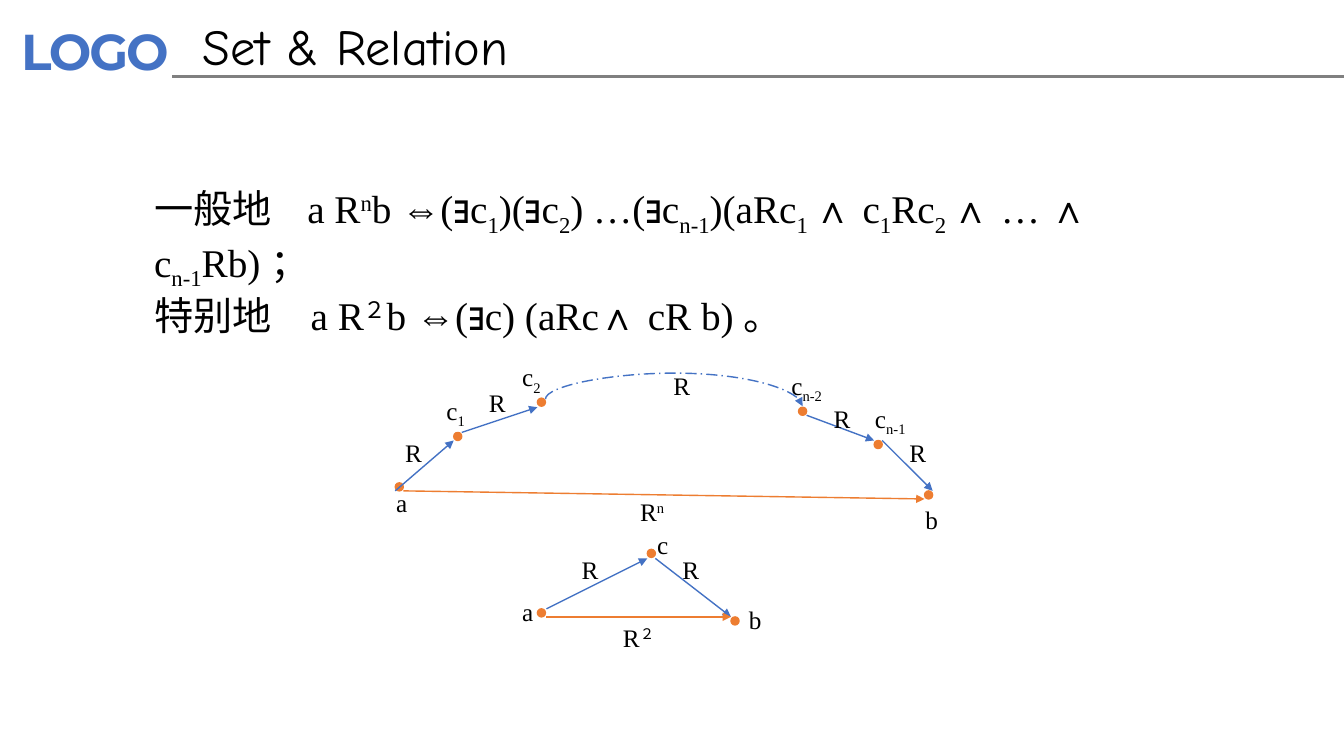
"""Build the Set & Relation slide on powers of a relation."""
import lxml.etree
import pptx
import pptx.dml.color
import pptx.enum.dml
import pptx.enum.shapes
import pptx.enum.text
import pptx.oxml.ns
import pptx.util

Inches, Pt = pptx.util.Inches, pptx.util.Pt
COLORS = {"blue": "4472C4", "orange": "ED7D31", "gray": "808080", "black": "000000"}
BASELINES = {"_": "-25000", "^": "30000"}
SERIF = "Times New Roman"
DOT = 0.08
LABEL_HEIGHT = 0.4

TITLE = "Set & Relation"
FORMULAS = [
    "一般地\ta R|^n|b ⇔(∃c|_1|)(∃c|_2|) …(∃c|_n-1|)(aRc|_1 |∧ c|_1|Rc|_2 |∧ … ∧ c|_n-1|Rb) ；",
    "特别地　a R|^２|b ⇔(∃c) (aRc∧ cR b) 。",
]
CHAIN = {
    "dots": [(3.92, 4.79), (4.5, 4.29), (5.33, 3.95), (7.92, 4.04), (8.67, 4.37), (9.17, 4.87)],
    "arrows": [
        ((4, 4.87), (9.17, 4.95), "orange"),
        ((3.92, 4.87), (4.5, 4.37), "blue"),
        ((4.58, 4.29), (5.33, 4.04), "blue"),
        ((8, 4.12), (8.67, 4.37), "blue"),
        ((8.75, 4.37), (9.25, 4.87), "blue"),
    ],
    "labels": [
        ("a", 3.83, 4.79, 0.42), ("c|_1", 4.33, 3.87, 0.42), ("c|_2", 5.08, 3.54, 0.5),
        ("b", 9.08, 4.95, 0.42), ("c|_n-1", 8.58, 3.95, 0.67), ("c|_n-2", 7.75, 3.62, 0.75),
        ("R|^n", 6.25, 4.87, 0.67), ("R", 3.92, 4.29, 0.42), ("R", 4.75, 3.79, 0.37),
        ("R", 8.17, 3.95, 0.37), ("R", 8.92, 4.29, 0.37), ("R", 6.58, 3.62, 0.37),
    ],
}
TRIANGLE = {
    "dots": [(5.33, 6.04), (6.42, 5.45), (7.25, 6.12)],
    "arrows": [
        ((5.42, 6.04), (6.42, 5.54), "blue"),
        ((6.5, 5.54), (7.25, 6.12), "blue"),
        ((5.42, 6.12), (7.25, 6.12), "orange"),
    ],
    "labels": [
        ("a", 5.08, 5.87, 0.33), ("b", 7.33, 5.95, 0.25), ("c", 6.42, 5.2, 0.33),
        ("R|^２", 6.08, 6.12, 0.75), ("R", 5.67, 5.45, 0.42), ("R", 6.67, 5.45, 0.42),
    ],
}


def rgb(name):
    """Return the named colour."""
    return pptx.dml.color.RGBColor.from_string(COLORS[name])


def add_child(parent, tag, **attributes):
    """Append a drawing element to a parent."""
    child = lxml.etree.SubElement(parent, pptx.oxml.ns.qn(tag))
    child.attrib.update(attributes)
    return child


def write(box, paragraphs, size=18, font=SERIF, color="black", bold=False,
          spacing=None, tab=None, inset=(0.1, 0.05)):
    """Fill a box; pieces between bars starting with _ or ^ are lowered or raised."""
    frame = box.text_frame
    frame.word_wrap = True
    frame.auto_size = pptx.enum.text.MSO_AUTO_SIZE.NONE
    frame.vertical_anchor = pptx.enum.text.MSO_ANCHOR.TOP
    frame.margin_left = frame.margin_right = Inches(inset[0])
    frame.margin_top = frame.margin_bottom = Inches(inset[1])
    for index, text in enumerate(paragraphs):
        paragraph = frame.add_paragraph() if index else frame.paragraphs[0]
        paragraph.alignment = pptx.enum.text.PP_ALIGN.LEFT
        if tab:
            stops = add_child(paragraph._p.get_or_add_pPr(), "a:tabLst")
            add_child(stops, "a:tab", pos=str(Inches(tab)), algn="l")
        for piece in text.split("|"):
            run = paragraph.add_run()
            run.text = piece[1:] if piece[0] in BASELINES else piece
            run.font.size, run.font.name, run.font.bold = Pt(size), font, bold
            run.font.color.rgb = rgb(color)
            if piece[0] in BASELINES:
                run.font._element.set("baseline", BASELINES[piece[0]])
            if spacing:
                run.font._element.set("spc", str(spacing))


def add_text(slide, place, paragraphs, **style):
    """Add a text box."""
    write(slide.shapes.add_textbox(*map(Inches, place)), paragraphs, **style)


def add_line(slide, start, end, color, width=1, arrow=True, dash=None,
             kind=pptx.enum.shapes.MSO_CONNECTOR.STRAIGHT):
    """Add a connector, with an arrowhead at its end unless told otherwise."""
    line = slide.shapes.add_connector(kind, *map(Inches, (*start, *end)))
    line.line.color.rgb = rgb(color)
    line.line.width = Pt(width)
    if dash:
        line.line.dash_style = dash
    if arrow:
        add_child(line.line._get_or_add_ln(), "a:tailEnd", type="triangle")
    add_child(line._element.spPr, "a:effectLst")
    return line


def add_arc(slide):
    """Add the dashed arc that stands for the omitted steps."""
    arc = add_line(slide, (6.65, 5.27), (6.72, 2.72), "blue",
                   dash=pptx.enum.dml.MSO_LINE.LONG_DASH_DOT,
                   kind=pptx.enum.shapes.MSO_CONNECTOR.CURVE)
    properties = arc._element.spPr
    properties.find(pptx.oxml.ns.qn("a:xfrm")).set("rot", "5400000")
    geometry = properties.find(pptx.oxml.ns.qn("a:prstGeom"))
    adjustments = geometry.find(pptx.oxml.ns.qn("a:avLst"))
    if adjustments is None:
        adjustments = add_child(geometry, "a:avLst")
    add_child(adjustments, "a:gd", name="adj1", fmla="val -368300")


def add_graph(slide, graph):
    """Draw the dots, arrows and labels of one relation graph."""
    for left, top in graph["dots"]:
        dot = slide.shapes.add_shape(pptx.enum.shapes.MSO_SHAPE.OVAL,
                                     *map(Inches, (left, top, DOT, DOT)))
        dot.shadow.inherit = False
        dot.fill.solid()
        dot.fill.fore_color.rgb = dot.line.color.rgb = rgb("orange")
        dot.line.width = Pt(1)
    for start, end, color in graph["arrows"]:
        add_line(slide, start, end, color)
    for text, left, top, width in graph["labels"]:
        add_text(slide, (left, top, width, LABEL_HEIGHT), [text])


def main():
    """Assemble and save the slide."""
    deck = pptx.Presentation()
    deck.slide_width, deck.slide_height = Inches(13.33), Inches(7.5)
    slide = deck.slides.add_slide(deck.slide_layouts[5])
    title = slide.shapes.title
    title.left, title.top, title.width, title.height = map(Inches, (1.91, 0.1, 6.3, 0.71))
    write(title, [TITLE], size=36, font="Comic Neue")
    add_text(slide, (0.08, 0.13, 1.86, 0.74), ["LOGO"], size=36, font="Montserrat",
             color="blue", bold=True, spacing=-150, inset=(0.13, 0.07))
    add_line(slide, (1.71, 0.76), (13.33, 0.76), "gray", width=2, arrow=False)
    add_text(slide, (1.43, 1.78, 10.78, 1.04), FORMULAS, size=28, tab=1.52)
    add_graph(slide, CHAIN)
    add_arc(slide)
    add_graph(slide, TRIANGLE)
    deck.save("out.pptx")


if __name__ == "__main__":
    main()
